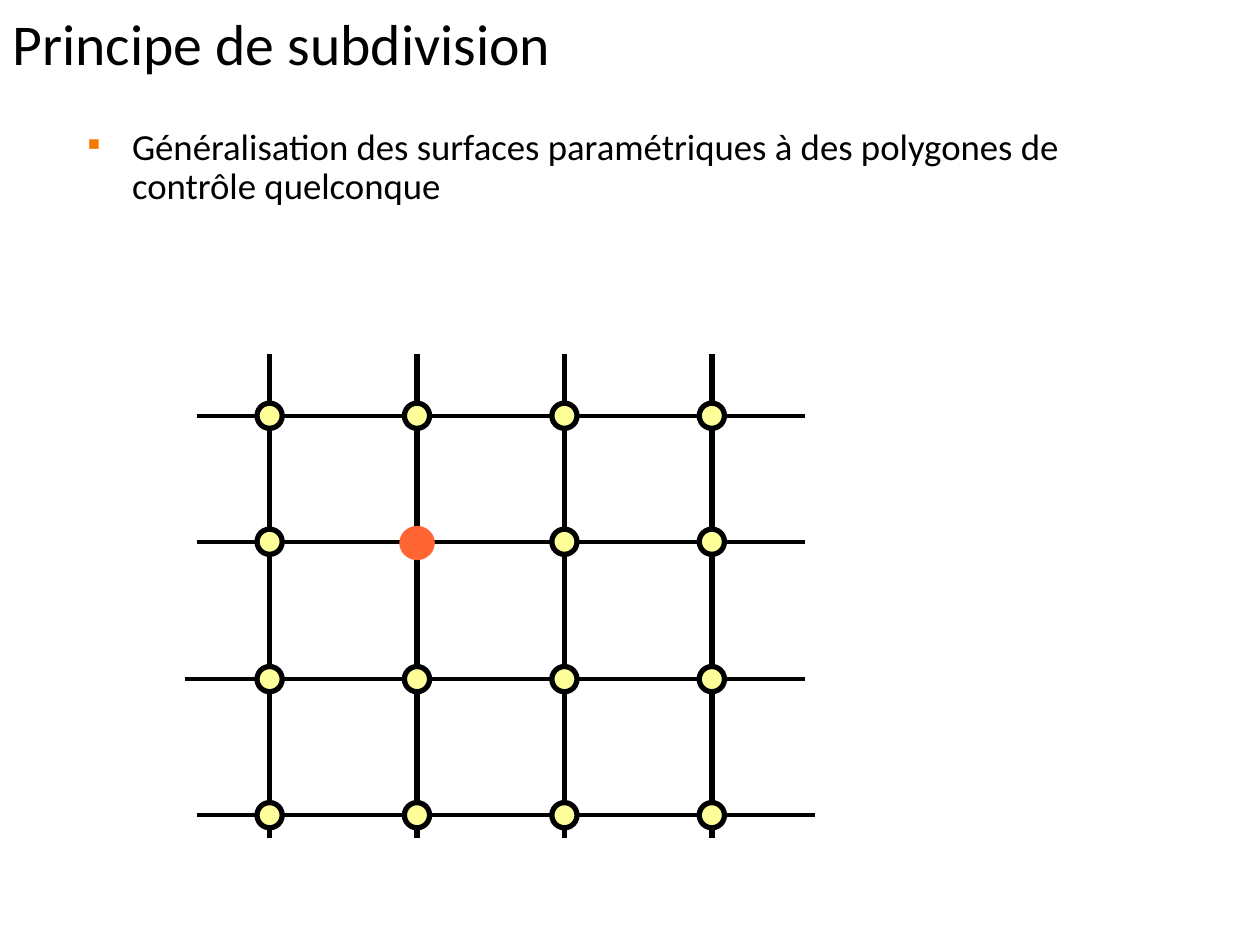
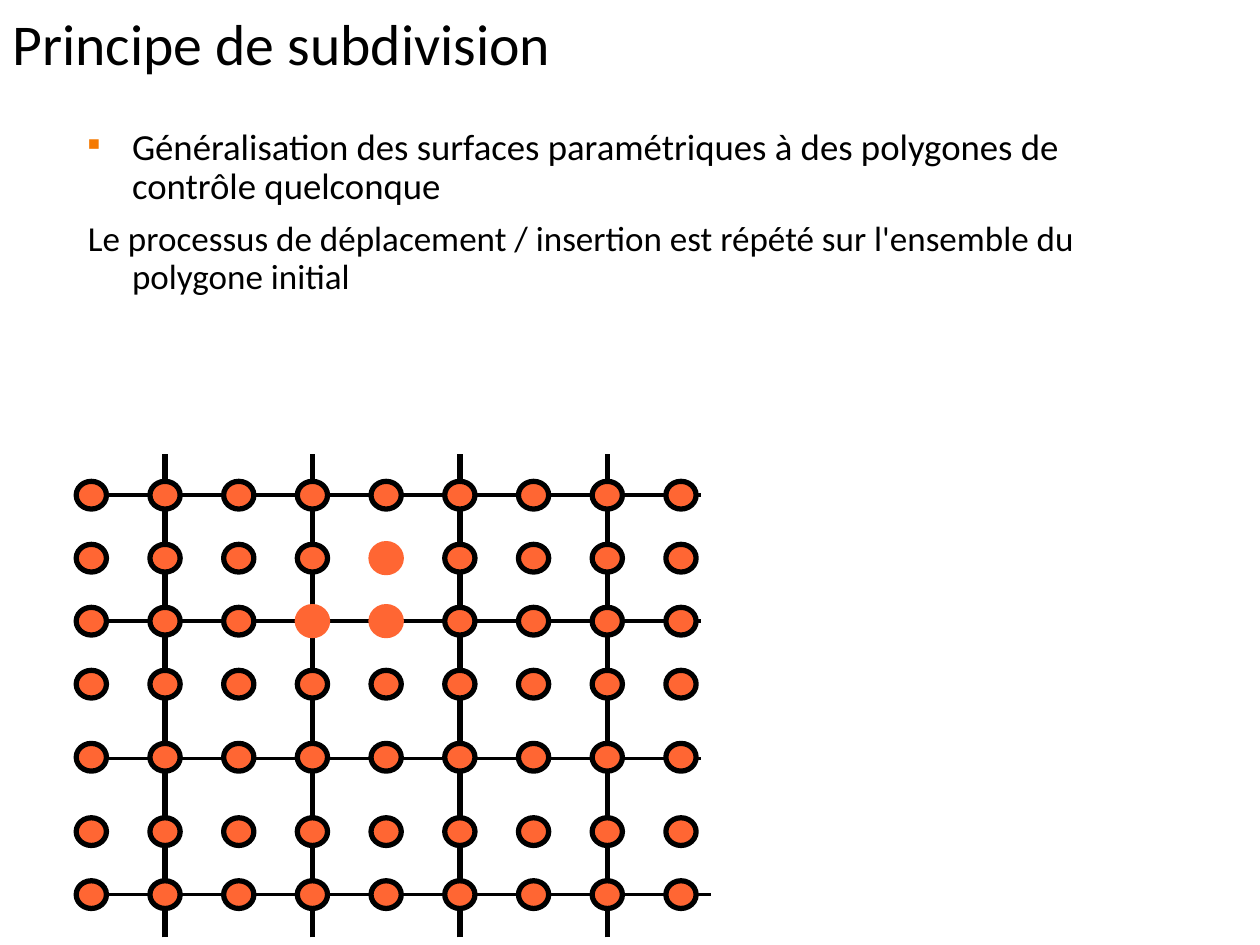
from lxml.etree import SubElement
from pptx import Presentation
from pptx.dml.color import RGBColor
from pptx.enum.shapes import MSO_CONNECTOR, MSO_SHAPE
from pptx.enum.text import MSO_ANCHOR
from pptx.oxml.ns import qn
from pptx.util import Inches, Pt

# Content
TITLE = "Principe de subdivision"
GENERALISATION = ("Généralisation des surfaces paramétriques à des polygones de "
                  "contrôle quelconque")
REPETITION = ("Le processus de déplacement / insertion est répété sur l'ensemble "
              "du polygone initial")

# Shared style
FONT = "Calibri"
BLACK = RGBColor(0x00, 0x00, 0x00)
CONTROL_YELLOW = RGBColor(0xFF, 0xFF, 0x99)
MOVED_ORANGE = RGBColor(0xFF, 0x66, 0x33)
BULLET_ORANGE = "F57900"

# Control mesh, in inches from its first node
MESH_STEP = 1.17
MESH_COLUMNS = [MESH_STEP * column for column in range(4)]
MESH_ROWS = [0, 1, 2.09, 3.17]
ROW_ENDS = [(-0.58, 4.25), (-0.58, 4.25), (-0.67, 4.25), (-0.58, 4.33)]
COLUMN_LENGTH = 3.84

# Refined mesh: a new column halfway between two old ones, and beyond the ends
REFINED_COLUMNS = [MESH_STEP / 2 * column for column in range(-1, 8)]
REFINED_ROWS = [0, 0.5, 1, 1.5, 2.08, 2.67, 3.17]

CONTROL_SIZE = (0.2, 0.2)
MOVED_SIZE = (0.24, 0.23)
REFINED_SIZE = (0.24, 0.22)

SLIDES = [
    {
        "body": [(GENERALISATION, 21, True)],
        "first_node": (2.14, 3.3),
        "columns_top": 2.81,
        "points": (MESH_COLUMNS, MESH_ROWS, CONTROL_SIZE, CONTROL_YELLOW),
        "moved": [(1, 1)],
    },
    {
        "body": [(GENERALISATION, 21, True), (REPETITION, 20, False)],
        "first_node": (1.31, 3.93),
        "columns_top": 3.6,
        "points": (REFINED_COLUMNS, REFINED_ROWS, REFINED_SIZE, MOVED_ORANGE),
        "moved": [(3, 2), (4, 2), (4, 1)],
    },
]


def add_text_frame(slide, left, top, width, height):
    frame = slide.shapes.add_textbox(
        Inches(left), Inches(top), Inches(width), Inches(height)).text_frame
    frame.word_wrap = True
    return frame


def style_paragraph(paragraph, size):
    paragraph.line_spacing = 0.9
    paragraph.font.name = FONT
    paragraph.font.size = Pt(size)
    paragraph.font.color.rgb = BLACK


def add_title(slide):
    frame = add_text_frame(slide, 0, 0.01, 10, 0.77)
    frame.vertical_anchor = MSO_ANCHOR.MIDDLE
    frame.margin_top = Inches(0.01)
    frame.text = TITLE
    style_paragraph(frame.paragraphs[0], 33)


def add_bullet(properties):
    colour = SubElement(properties, qn("a:buClr"))
    SubElement(colour, qn("a:srgbClr"), val=BULLET_ORANGE)
    SubElement(properties, qn("a:buSzPct"), val="45000")
    SubElement(properties, qn("a:buChar"), char="■")


def add_body(slide, body):
    frame = add_text_frame(slide, 0.48, 0.97, 9, 5.69)
    frame.text = "\n".join(text for text, _, _ in body)
    for number, (_, size, bulleted) in enumerate(body):
        paragraph = frame.paragraphs[number]
        properties = paragraph._p.get_or_add_pPr()
        properties.set("marL", str(Inches(0.47)))
        properties.set("indent", str(Inches(-0.35)))
        if bulleted:
            add_bullet(properties)
        style_paragraph(paragraph, size)
        if number:
            paragraph.space_before = Pt(7.5)
            paragraph.space_after = Pt(5.8)


def add_line(slide, x1, y1, x2, y2, weight):
    line = slide.shapes.add_connector(
        MSO_CONNECTOR.STRAIGHT, Inches(x1), Inches(y1), Inches(x2), Inches(y2))
    line.line.color.rgb = BLACK
    line.line.width = Pt(weight)
    SubElement(line._element.spPr, qn("a:effectLst"))


def add_mesh(slide, first_node, columns_top):
    left, top = first_node
    for row, (start, end) in zip(MESH_ROWS, ROW_ENDS):
        add_line(slide, left + start, top + row, left + end, top + row, 2)
    for column in MESH_COLUMNS:
        add_line(slide, left + column, columns_top + COLUMN_LENGTH,
                 left + column, columns_top, 3)


def add_point(slide, x, y, size, fill, outline):
    width, height = size
    point = slide.shapes.add_shape(
        MSO_SHAPE.OVAL, Inches(x - width / 2), Inches(y - height / 2),
        Inches(width), Inches(height))
    point.shadow.inherit = False
    point.fill.solid()
    point.fill.fore_color.rgb = fill
    point.line.color.rgb = outline
    point.line.width = Pt(3)


def add_points(slide, first_node, points, moved):
    columns, rows, size, fill = points
    left, top = first_node
    for j, row in enumerate(rows):
        for i, column in enumerate(columns):
            x, y = left + column, top + row
            if (i, j) not in moved:
                add_point(slide, x, y, size, fill, BLACK)
                continue
            # On the first mesh the moved point lies over its control point
            if fill == CONTROL_YELLOW:
                y += 0.01
            add_point(slide, x, y, MOVED_SIZE, MOVED_ORANGE, MOVED_ORANGE)


def main():
    deck = Presentation()
    deck.slide_width, deck.slide_height = Inches(10), Inches(7.5)
    for content in SLIDES:
        slide = deck.slides.add_slide(deck.slide_layouts[6])
        add_title(slide)
        add_body(slide, content["body"])
        add_mesh(slide, content["first_node"], content["columns_top"])
        add_points(slide, content["first_node"], content["points"], content["moved"])
    deck.save("out.pptx")


if __name__ == "__main__":
    main()
